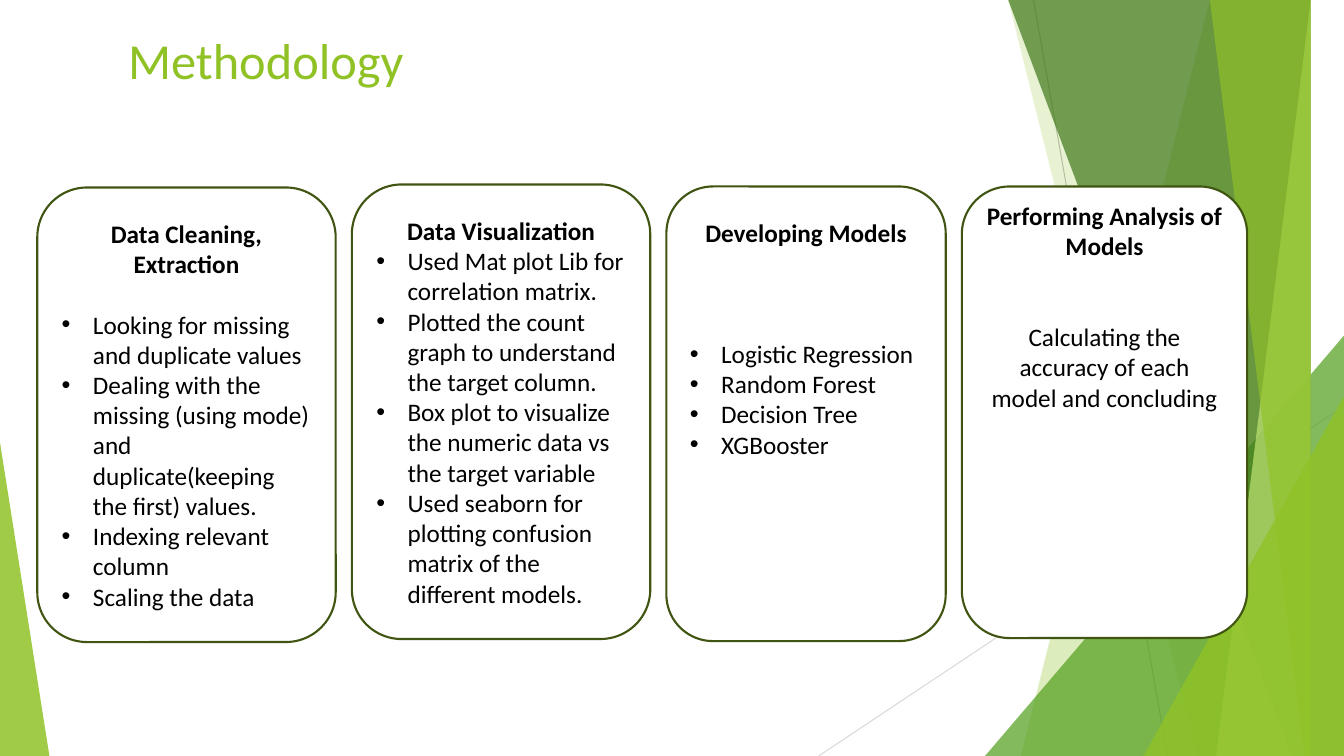
from dataclasses import dataclass

from lxml import etree
from pptx import Presentation
from pptx.dml.color import RGBColor
from pptx.enum.shapes import MSO_CONNECTOR, MSO_SHAPE
from pptx.enum.text import MSO_ANCHOR, PP_ALIGN
from pptx.oxml.ns import qn
from pptx.util import Inches, Pt

STRAIGHT = MSO_CONNECTOR.STRAIGHT
TRIANGLE = MSO_SHAPE.ISOSCELES_TRIANGLE
ROUNDED = MSO_SHAPE.ROUNDED_RECTANGLE
TOP = MSO_ANCHOR.TOP
LEFT, CENTER = PP_ALIGN.LEFT, PP_ALIGN.CENTER

WHITE = RGBColor(0xFF, 0xFF, 0xFF)
BLACK = RGBColor(0x00, 0x00, 0x00)
LIME = RGBColor(0x90, 0xC2, 0x26)
GREEN = RGBColor(0x54, 0xA0, 0x21)
FOREST = RGBColor(0x3F, 0x78, 0x19)
PALE_LIME = RGBColor(0xC0, 0xE4, 0x74)
OLIVE = RGBColor(0x3F, 0x55, 0x11)
GREY = RGBColor(0xBF, 0xBF, 0xBF)
LIGHT_GREY = RGBColor(0xD9, 0xD9, 0xD9)

FONT = "Calibri"
WIDTH, HEIGHT = 13.33, 7.5
BULLET_INDENT = Inches(0.31)


@dataclass(frozen=True)
class Ray:
    start: tuple[float, float]
    end: tuple[float, float]
    color: RGBColor


@dataclass(frozen=True)
class Facet:
    """A band that reaches the right edge, given by its left corners."""
    top_left: float
    bottom_left: float
    color: RGBColor
    opacity: int


@dataclass(frozen=True)
class Wedge:
    """A triangle standing on the bottom edge."""
    left: float
    top: float
    width: float
    apex: float
    color: RGBColor
    opacity: int


@dataclass(frozen=True)
class Card:
    left: float
    top: float
    width: float
    height: float
    inset: float
    heading: str
    gap: float
    items: tuple[str, ...]
    bulleted: bool = True


RAYS = (
    Ray((10.25, 0), (11.58, HEIGHT), GREY),
    Ray((WIDTH, 4.03), (8.12, HEIGHT), LIGHT_GREY),
)
BACKDROP = (
    Facet(12.28, 10.04, LIME, 30),
    Facet(10.5, 11.83, LIME, 20),
    Wedge(9.77, 3.33, 3.56, 1, GREEN, 72),
    Facet(10.21, 12.91, FOREST, 70),
    Facet(13.03, 11.92, PALE_LIME, 70),
    Facet(11.96, 13.18, LIME, 65),
    Wedge(11.34, 3.93, 1.99, 1, LIME, 80),
    Wedge(0, 4.39, 0.49, 0, LIME, 85),
)
CARDS = (
    Card(0.37, 1.86, 2.96, 4.51, 0.16, "Data Cleaning, Extraction", 21.6, (
        "Looking for missing and duplicate values",
        "Dealing with the missing (using mode) and duplicate(keeping the first) values.",
        "Indexing relevant column",
        "Scaling the data",
    )),
    Card(3.49, 1.83, 2.96, 4.51, 0.16, "Data Visualization", 0, (
        "Used Mat plot Lib for correlation matrix.",
        "Plotted the count graph to understand the target column.",
        "Box plot to visualize the numeric data vs the target variable",
        "Used seaborn for plotting confusion matrix of the different models.",
    )),
    Card(6.61, 1.85, 2.77, 4.51, 0.17, "Developing Models", 64.8, (
        "Logistic Regression", "Random Forest", "Decision Tree", "XGBooster",
    )),
    Card(9.54, 1.85, 2.83, 4.48, 0, "Performing Analysis of Models", 43.2, (
        "Calculating the accuracy of each model and concluding",
    ), bulleted=False),
)


def write(para, text: str, *, size: float = 18, color: RGBColor = BLACK,
          bold: bool = False, align=LEFT, after: float = 0, bullet: bool = False) -> None:
    para.alignment = align
    para.space_before, para.space_after = Pt(0), Pt(after)
    if bullet:
        properties = para._p.get_or_add_pPr()
        properties.set("marL", str(BULLET_INDENT))
        properties.set("indent", str(-BULLET_INDENT))
        etree.SubElement(properties, qn("a:buFont")).set("typeface", "Arial")
        etree.SubElement(properties, qn("a:buChar")).set("char", "•")
    span = para.add_run()
    span.text = text
    span.font.name, span.font.size, span.font.bold = FONT, Pt(size), bold
    span.font.color.rgb = color


def tint(shape, color: RGBColor, opacity: int) -> None:
    shape.shadow.inherit = False
    shape.line.fill.background()
    shape.fill.solid()
    shape.fill.fore_color.rgb = color
    channel = shape._element.spPr.find(f"{qn('a:solidFill')}/{qn('a:srgbClr')}")
    etree.SubElement(channel, qn("a:alpha")).set("val", str(opacity * 1000))


def draw_ray(page, ray: Ray) -> None:
    line = page.shapes.add_connector(
        STRAIGHT, *(Inches(value) for value in ray.start + ray.end))
    line.line.color.rgb = ray.color
    line.line.width = Pt(0.75)
    etree.SubElement(line._element.spPr, qn("a:effectLst"))


def draw_facet(page, facet: Facet) -> None:
    outline = page.shapes.build_freeform(facet.top_left, 0, scale=Inches(1))
    outline.add_line_segments(
        [(WIDTH, 0), (WIDTH, HEIGHT), (facet.bottom_left, HEIGHT)], close=True)
    tint(outline.convert_to_shape(), facet.color, facet.opacity)


def draw_wedge(page, wedge: Wedge) -> None:
    shape = page.shapes.add_shape(
        TRIANGLE, Inches(wedge.left), Inches(wedge.top),
        Inches(wedge.width), Inches(HEIGHT - wedge.top))
    shape.adjustments[0] = wedge.apex
    tint(shape, wedge.color, wedge.opacity)


def draw_card(page, card: Card) -> None:
    box = page.shapes.add_shape(
        ROUNDED, Inches(card.left), Inches(card.top),
        Inches(card.width), Inches(card.height))
    box.shadow.inherit = False
    box.fill.solid()
    box.fill.fore_color.rgb = WHITE
    box.line.color.rgb = OLIVE
    box.line.width = Pt(1.5)
    frame = box.text_frame
    frame.word_wrap = True
    frame.vertical_anchor = TOP
    frame.margin_top = Inches(card.inset)
    write(frame.paragraphs[0], card.heading, bold=True, align=CENTER, after=card.gap)
    for item in card.items:
        write(frame.add_paragraph(), item, bullet=card.bulleted,
              align=LEFT if card.bulleted else CENTER)


def draw_title(page, text: str) -> None:
    title = page.shapes.title
    title.left, title.top = Inches(1.17), Inches(0.24)
    title.width, title.height = Inches(11), Inches(1.31)
    title.text_frame.vertical_anchor = TOP
    write(title.text_frame.paragraphs[0], text, size=36, color=LIME)


def main() -> None:
    deck = Presentation()
    deck.slide_width, deck.slide_height = Inches(WIDTH), Inches(HEIGHT)
    page = deck.slides.add_slide(deck.slide_layouts.get_by_name("Title Only"))
    draw_title(page, "Methodology")
    for ray in RAYS:
        draw_ray(page, ray)
    for part in BACKDROP:
        if isinstance(part, Facet):
            draw_facet(page, part)
        else:
            draw_wedge(page, part)
    for card in CARDS:
        draw_card(page, card)
    deck.save("out.pptx")


if __name__ == "__main__":
    main()
